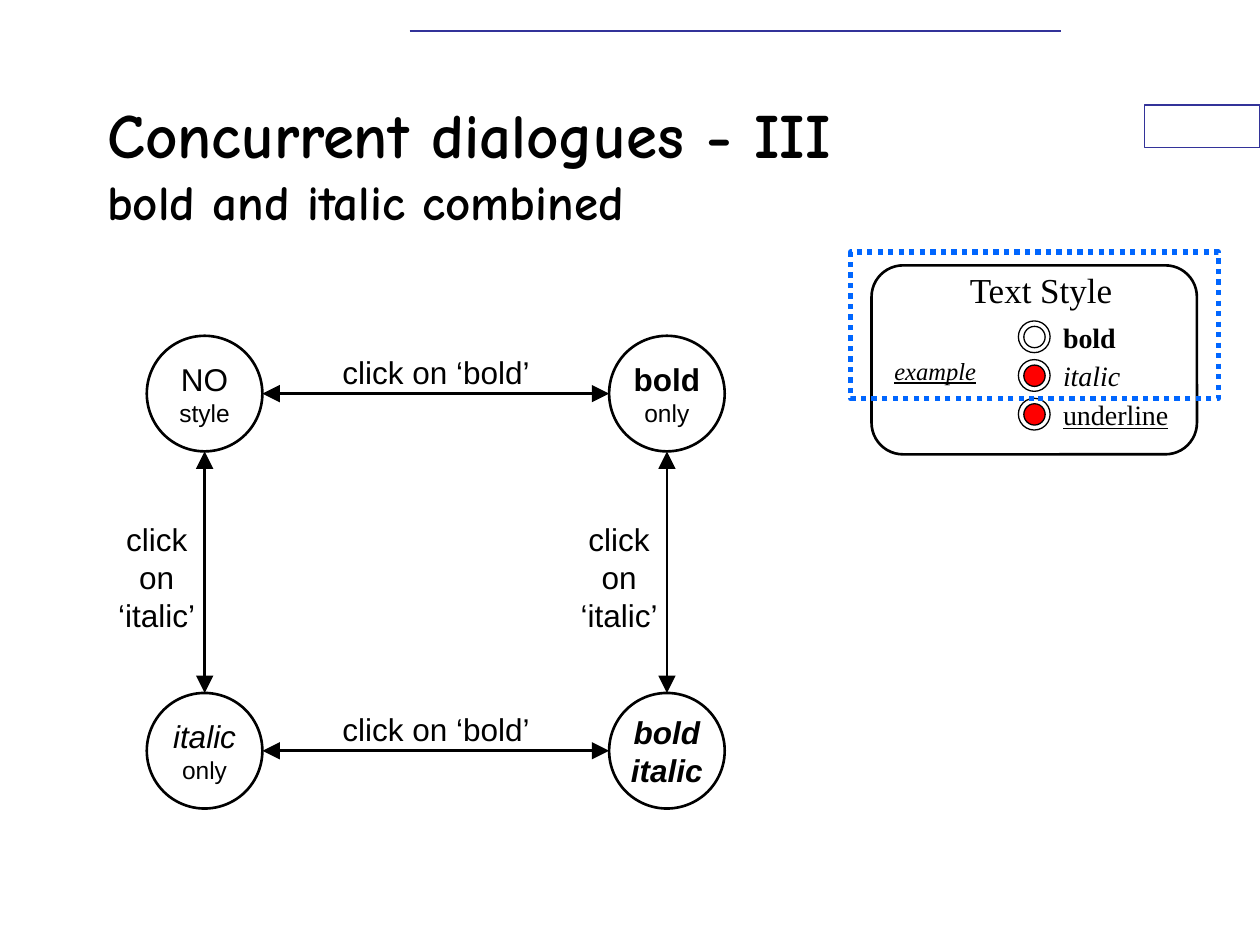
from lxml import etree
from pptx import Presentation
from pptx.dml.color import RGBColor
from pptx.enum.dml import MSO_LINE
from pptx.enum.shapes import MSO_CONNECTOR, MSO_SHAPE
from pptx.enum.text import MSO_ANCHOR, MSO_AUTO_SIZE, PP_ALIGN
from pptx.oxml.ns import qn
from pptx.util import Cm, Pt

RECT, ROUND, OVAL = MSO_SHAPE.RECTANGLE, MSO_SHAPE.ROUNDED_RECTANGLE, MSO_SHAPE.OVAL
STRAIGHT = MSO_CONNECTOR.STRAIGHT
DOTTED = MSO_LINE.ROUND_DOT
LEFT, CENTER = PP_ALIGN.LEFT, PP_ALIGN.CENTER
MIDDLE = MSO_ANCHOR.MIDDLE
NO_FIT, GROW = MSO_AUTO_SIZE.NONE, MSO_AUTO_SIZE.SHAPE_TO_FIT_TEXT

BLACK, WHITE, RED, NAVY, BLUE = "000000", "FFFFFF", "FF0000", "333399", "0066FF"
SANS, SERIF, COMIC = "Arial", "Times New Roman", "Comic Neue"
TITLE_ONLY = 5

# State diagram grid, in cm
STATE_SIZE = 2.33
COLUMNS = (2.96, 12.28)
ROWS = (6.77, 13.97)
STATES = [
    # column, row, then (text, size, style) per line
    (0, 0, [("NO", 18, ""), ("style", 14, "")]),
    (1, 0, [("bold", 18, "b"), ("only", 14, "")]),
    (0, 1, [("italic", 18, "i"), ("only", 14, "")]),
    (1, 1, [("bold", 18, "bi"), ("italic", 18, "bi")]),
]

# Radio buttons of the dialogue: label, style, button colour, label width
OPTIONS = [
    ("bold", "b", WHITE, 1.68),
    ("italic", "i", RED, 1.78),
    ("underline", "u", RED, 2.75),
]
OPTION_TOP, OPTION_STEP = 6.47, 0.78


def rgb(value):
    return RGBColor.from_string(value)


def format_run(run, size, font, style=""):
    """Style holds any of the letters b, i and u."""
    run.font.size = Pt(size)
    run.font.name = font
    run.font.color.rgb = rgb(BLACK)
    run.font.bold = "b" in style
    run.font.italic = "i" in style
    run.font.underline = "u" in style


def write_lines(frame, lines, font, align):
    frame.word_wrap = False
    frame.text = "\n".join(text for text, _, _ in lines)
    for paragraph, (_, size, style) in zip(frame.paragraphs, lines):
        paragraph.alignment = align
        format_run(paragraph.runs[0], size, font, style)


def add_outline(slide, kind, left, top, width, height,
                fill=WHITE, line=BLACK, weight=1.5):
    shape = slide.shapes.add_shape(kind, Cm(left), Cm(top), Cm(width), Cm(height))
    shape.shadow.inherit = False
    if fill:
        shape.fill.solid()
        shape.fill.fore_color.rgb = rgb(fill)
    else:
        shape.fill.background()
    shape.line.color.rgb = rgb(line)
    shape.line.width = Pt(weight)
    return shape


def add_label(slide, left, top, width, height, lines, font=SERIF, align=LEFT):
    label = slide.shapes.add_textbox(Cm(left), Cm(top), Cm(width), Cm(height))
    write_lines(label.text_frame, lines, font, align)
    label.text_frame.auto_size = GROW


def add_line(slide, x1, y1, x2, y2, color=BLACK, weight=1.5, arrows=True):
    line = slide.shapes.add_connector(STRAIGHT, Cm(x1), Cm(y1), Cm(x2), Cm(y2))
    line.line.color.rgb = rgb(color)
    line.line.width = Pt(weight)
    properties = line._element.spPr
    if arrows:
        for end in ("a:headEnd", "a:tailEnd"):
            etree.SubElement(properties.find(qn("a:ln")), qn(end),
                             type="triangle", w="lg", len="lg")
    etree.SubElement(properties, qn("a:effectLst"))


def fill_title(slide):
    title = slide.shapes.title
    title.left, title.top, title.width, title.height = Cm(1.91), Cm(1.69), Cm(19.05), Cm(3.18)
    frame = title.text_frame
    frame.auto_size = NO_FIT
    frame.vertical_anchor = MIDDLE
    paragraph = frame.paragraphs[0]
    paragraph.text = "Concurrent dialogues - III\vbold and italic combined"
    paragraph.alignment = LEFT
    for run, size in zip(paragraph.runs, (36, 28)):
        format_run(run, size, COMIC, "b")
    line_break = paragraph._p.find(qn("a:br"))
    etree.SubElement(line_break, qn("a:rPr"), sz="3600")


def add_text_style_dialogue(slide):
    panel = add_outline(slide, ROUND, 17.57, 5.35, 6.56, 3.81)
    panel.adjustments[0] = 0.167
    add_label(slide, 19.3, 5.29, 3.52, 1.12, [("Text Style", 20, "")])
    for index, (name, style, color, width) in enumerate(OPTIONS):
        top = OPTION_TOP + index * OPTION_STEP
        add_outline(slide, OVAL, 20.53, top, 0.64, 0.64, weight=0.75)
        add_outline(slide, OVAL, 20.64, top + 0.11, 0.43, 0.43, color, weight=0.75)
        add_label(slide, 21.18, top - 0.14, width, 0.94, [(name, 16, style)])
    add_label(slide, 17.78, 7.05, 2.26, 0.87, [("example", 14, "iu")])


def add_state_diagram(slide):
    for column, row, lines in STATES:
        state = add_outline(slide, OVAL, COLUMNS[column], ROWS[row], STATE_SIZE, STATE_SIZE)
        state.text_frame.vertical_anchor = MIDDLE
        write_lines(state.text_frame, lines, SANS, CENTER)

    radius = STATE_SIZE / 2
    for top in ROWS:
        middle = top + radius
        add_line(slide, COLUMNS[0] + STATE_SIZE, middle, COLUMNS[1], middle)
        add_label(slide, 6.54, top + 0.22, 4.5, 1.02,
                  [("click on ‘bold’", 18, "")], SANS, CENTER)

    italic_click = [(word, 18, "") for word in ("click", "on", "‘italic’")]
    for left in COLUMNS:
        middle = left + radius
        add_line(slide, middle, ROWS[1], middle, ROWS[0] + STATE_SIZE)
        add_label(slide, left - 0.9, 10.36, 2.2, 2.54, italic_click, SANS, CENTER)


def main():
    presentation = Presentation()
    presentation.slide_width, presentation.slide_height = Cm(25.4), Cm(19.05)
    slide = presentation.slides.add_slide(presentation.slide_layouts[TITLE_ONLY])

    add_outline(slide, RECT, 23.07, 2.12, 2.33, 0.85, line=NAVY, weight=0.75)
    add_line(slide, 8.26, 0.63, 21.38, 0.63, NAVY, 1, arrows=False)
    fill_title(slide)
    add_text_style_dialogue(slide)
    add_state_diagram(slide)
    highlight = add_outline(slide, RECT, 17.15, 5.08, 7.41, 2.96, None, BLUE, 3)
    highlight.line.dash_style = DOTTED

    presentation.save("out.pptx")


if __name__ == "__main__":
    main()
